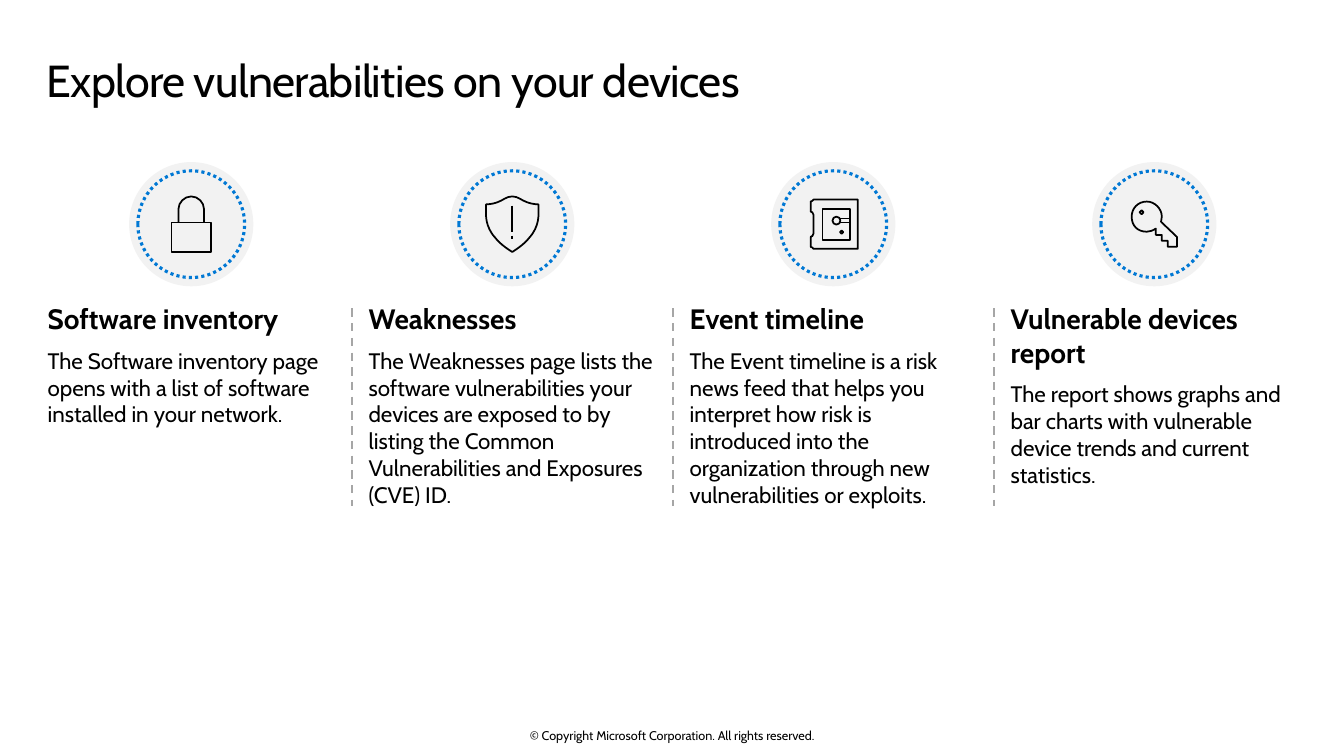
"""Build the slide that introduces four ways to explore device vulnerabilities."""
from dataclasses import dataclass

from lxml.etree import SubElement
from pptx import Presentation
from pptx.dml.color import RGBColor
from pptx.enum.dml import MSO_LINE
from pptx.enum.shapes import MSO_CONNECTOR, MSO_SHAPE
from pptx.enum.text import MSO_ANCHOR, PP_ALIGN
from pptx.oxml.ns import qn
from pptx.slide import Slide
from pptx.util import Cm, Pt

Point = tuple[float, float]
Segment = tuple[Point, ...]


@dataclass(frozen=True)
class Theme:
    """Font, colours and type sizes."""

    font: str = "Cabin"
    ink: RGBColor = RGBColor(0x00, 0x00, 0x00)
    disc: RGBColor = RGBColor(0xF2, 0xF2, 0xF2)
    accent: RGBColor = RGBColor(0x00, 0x78, 0xD4)
    divider: RGBColor = RGBColor(0xA6, 0xA6, 0xA6)
    title: int = 32
    heading: int = 20
    body: int = 16
    footer: int = 9


@dataclass(frozen=True)
class Outline:
    """One contour in millimetres; segments hold a line end or three curve points."""

    start: Point
    segments: tuple[Segment, ...]
    closed: bool = True


@dataclass(frozen=True)
class Topic:
    """One column: heading, explanation and icon."""

    heading: str
    text: str
    icon: tuple[Outline, ...]


def lines(*points: Point, closed: bool = True) -> Outline:
    """Return a contour of straight lines."""
    return Outline(points[0], tuple((point,) for point in points[1:]), closed)


def circle(x: float, y: float, radius: float) -> Outline:
    """Return a round contour made of four curves."""
    pull = radius * 0.55
    left, right, top, bottom = x - radius, x + radius, y - radius, y + radius
    return Outline((right, y), (
        ((right, y + pull), (x + pull, bottom), (x, bottom)),
        ((x - pull, bottom), (left, y + pull), (left, y)),
        ((left, y - pull), (x - pull, top), (x, top)),
        ((x + pull, top), (right, y - pull), (right, y)),
    ))


THEME = Theme()
STEP = 8.09
LOCK = (
    lines((5, 7), (-5, 7), (-5, -0.4), (5, -0.4)),
    Outline((3.2, -0.4), (
        ((3.2, -3.9),), ((3.2, -5.4), (1.8, -7), (0, -7)),
        ((-1.8, -7), (-3.2, -5.4), (-3.2, -3.9)), ((-3.2, -0.4),),
    ), False),
)
SHIELD = (
    Outline((-4.3, 3.4), (
        ((-6.9, 0.6), (-6.6, -2.7), (-6.6, -2.7)), ((-6.6, -5),),
        ((-6.6, -5), (-5.1, -5), (-3.8, -5.5)), ((-2.3, -6), (-1.5, -7), (0, -7)),
        ((1.5, -7), (2.3, -6), (3.8, -5.5)), ((5.1, -5), (6.6, -5), (6.6, -5)),
        ((6.6, -2.7),), ((6.6, -2.7), (6.9, 0.6), (4.3, 3.4)),
        ((3, 5.2), (0, 7), (0, 7)), ((0, 7), (-3, 5.2), (-4.3, 3.4)),
    )),
    lines((0, -4.7), (0, 1.9), closed=False),
    lines((0, 2.9), (0, 3.7), closed=False),
)
SAFE = (
    Outline((6.2, -6.2), (
        ((6.2, 6.2),), ((-5, 6.2),), ((-5, 6), (-5.5, 5.7), (-5.7, 5.7)),
        ((-5.7, 3.2),), ((-5.5, 3.2), (-5, 2.9), (-5, 2.4)),
        ((-5, -2.4),), ((-5, -2.9), (-5.5, -3.2), (-5.7, -3.2)),
        ((-5.7, -5.7),), ((-5.5, -5.7), (-5, -6), (-5, -6.2)),
    )),
    lines((4.2, -3.9), (-2.7, -3.9), (-2.7, 3.9), (4.2, 3.9)),
    circle(0.8, -0.9, 1),
    circle(2.1, 2, 0.4),
    lines((1.7, -1.4), (4.2, -1.4), closed=False),
    lines((1.7, -0.4), (4.2, -0.4), closed=False),
)
KEY = (
    Outline((0.4, 1.1), (
        ((-0.4, 1.6), (-1.1, 1.9), (-1.9, 1.9)), ((-4.2, 1.9), (-5.7, 0.4), (-5.7, -1.9)),
        ((-5.7, -3.9), (-4.2, -5.7), (-1.9, -5.7)), ((0.1, -5.7), (1.9, -3.9), (1.9, -1.9)),
        ((1.9, -1.4), (1.7, -1.1), (1.7, -0.6)), ((5.7, 3.2),), ((5.7, 5.7),), ((3.4, 5.7),),
        ((3.4, 4.2),), ((1.9, 4.2),), ((1.9, 2.7),), ((0.4, 2.7),),
    )),
    circle(-3.2, -3, 0.5),
)
TOPICS = (
    Topic("Software inventory", "The Software inventory page opens with a list of software "
          "installed in your network.", LOCK),
    Topic("Weaknesses", "The Weaknesses page lists the software vulnerabilities your devices are "
          "exposed to by listing the Common Vulnerabilities and Exposures (CVE) ID.", SHIELD),
    Topic("Event timeline", "The Event timeline is a risk news feed that helps you interpret how "
          "risk is introduced into the organization through new vulnerabilities or exploits.", SAFE),
    Topic("Vulnerable devices report", "The report shows graphs and bar charts with vulnerable "
          "device trends and current statistics.", KEY),
)


def add_frame(page: Slide, left: float, top: float, width: float, height: float):
    """Add a wrapping text box without margins and return its text frame."""
    frame = page.shapes.add_textbox(Cm(left), Cm(top), Cm(width), Cm(height)).text_frame
    frame.word_wrap = True
    frame.margin_left = frame.margin_right = frame.margin_top = frame.margin_bottom = 0
    return frame


def add_span(para, text: str, size: int, bold: bool = False):
    """Add one styled run to a paragraph."""
    span = para.add_run()
    span.text = text
    span.font.name, span.font.size, span.font.bold = THEME.font, Pt(size), bold
    span.font.color.rgb = THEME.ink
    return span


def style_line(shape, color: RGBColor, width: float, dash: MSO_LINE = MSO_LINE.SOLID) -> None:
    """Set the colour, width and dash of a line."""
    shape.line.color.rgb, shape.line.width, shape.line.dash_style = color, Pt(width), dash


def add_disc(page: Slide, x: float, y: float, size: float):
    """Add a shadowless circle around a centre."""
    corner = Cm(x - size / 2), Cm(y - size / 2)
    disc = page.shapes.add_shape(MSO_SHAPE.OVAL, *corner, Cm(size), Cm(size))
    disc.shadow.inherit = False
    return disc


def add_icon(page: Slide, icon: tuple[Outline, ...], x: float, y: float) -> None:
    """Draw an icon on its dotted disc."""
    disc = add_disc(page, x, y, 3.13)
    disc.fill.solid()
    disc.fill.fore_color.rgb = THEME.disc
    disc.line.fill.background()
    ring = add_disc(page, x, y, 2.69)
    ring.fill.background()
    style_line(ring, THEME.accent, 2.25, MSO_LINE.ROUND_DOT)
    builder = None
    for outline in icon:
        points = [outline.start, *(point for segment in outline.segments for point in segment)]
        start, *rest = [(Cm(x + across / 10), Cm(y + down / 10)) for across, down in points]
        if builder:
            builder.move_to(*start)
        else:
            builder = page.shapes.build_freeform(*start)
        builder.add_line_segments(rest, outline.closed)
    drawing = builder.convert_to_shape()
    steps = iter(list(drawing._element.iter(qn("a:lnTo"))))
    for segment in (segment for outline in icon for segment in outline.segments):
        first, *others = [next(steps) for _ in segment]
        if others:
            curve = SubElement(first.getparent(), qn("a:cubicBezTo"))
            first.addprevious(curve)
            for step in (first, *others):
                curve.append(step[0])
                step.getparent().remove(step)
    drawing.shadow.inherit = False
    drawing.fill.background()
    style_line(drawing, THEME.ink, 1.25)


def add_topic(page: Slide, topic: Topic, offset: float) -> None:
    """Add one column of text with its icon and, after the first, a divider."""
    if offset:
        ends = Cm(0.77 + offset), Cm(7.77), Cm(0.77 + offset), Cm(12.75)
        divider = page.shapes.add_connector(MSO_CONNECTOR.STRAIGHT, *ends)
        style_line(divider, THEME.divider, 1.5, MSO_LINE.DASH)
        SubElement(divider._element.spPr, qn("a:effectLst"))
    frame = add_frame(page, 1.2 + offset, 7.61, 7.24, 10.21)
    heading, body = frame.paragraphs[0], frame.add_paragraph()
    heading.space_after = body.space_after = Pt(6)
    body.space_before = Pt(2)
    add_span(heading, topic.heading, THEME.heading, True)
    add_span(body, topic.text, THEME.body)
    add_icon(page, topic.icon, 4.82 + offset, 5.65)


def main() -> None:
    """Build and save the deck."""
    deck = Presentation()
    deck.slide_width, deck.slide_height = Cm(33.87), Cm(19.05)
    page = deck.slides.add_slide(deck.slide_layouts[6])
    title = add_frame(page, 1.17, 1.22, 31.5, 1.88)
    title.margin_top = title.margin_bottom = Cm(0.25)
    title.paragraphs[0].line_spacing = 0.9
    span = add_span(title.paragraphs[0], "Explore vulnerabilities on your devices", THEME.title)
    span.font._element.set("spc", "-47")
    for index, topic in enumerate(TOPICS):
        add_topic(page, topic, index * STEP)
    footer = add_frame(page, 11.22, 18.34, 11.43, 0.38)
    footer.vertical_anchor = MSO_ANCHOR.MIDDLE
    footer.paragraphs[0].alignment = PP_ALIGN.CENTER
    add_span(footer.paragraphs[0], "© Copyright Microsoft Corporation. All rights reserved.", THEME.footer)
    deck.save("out.pptx")


if __name__ == "__main__":
    main()
